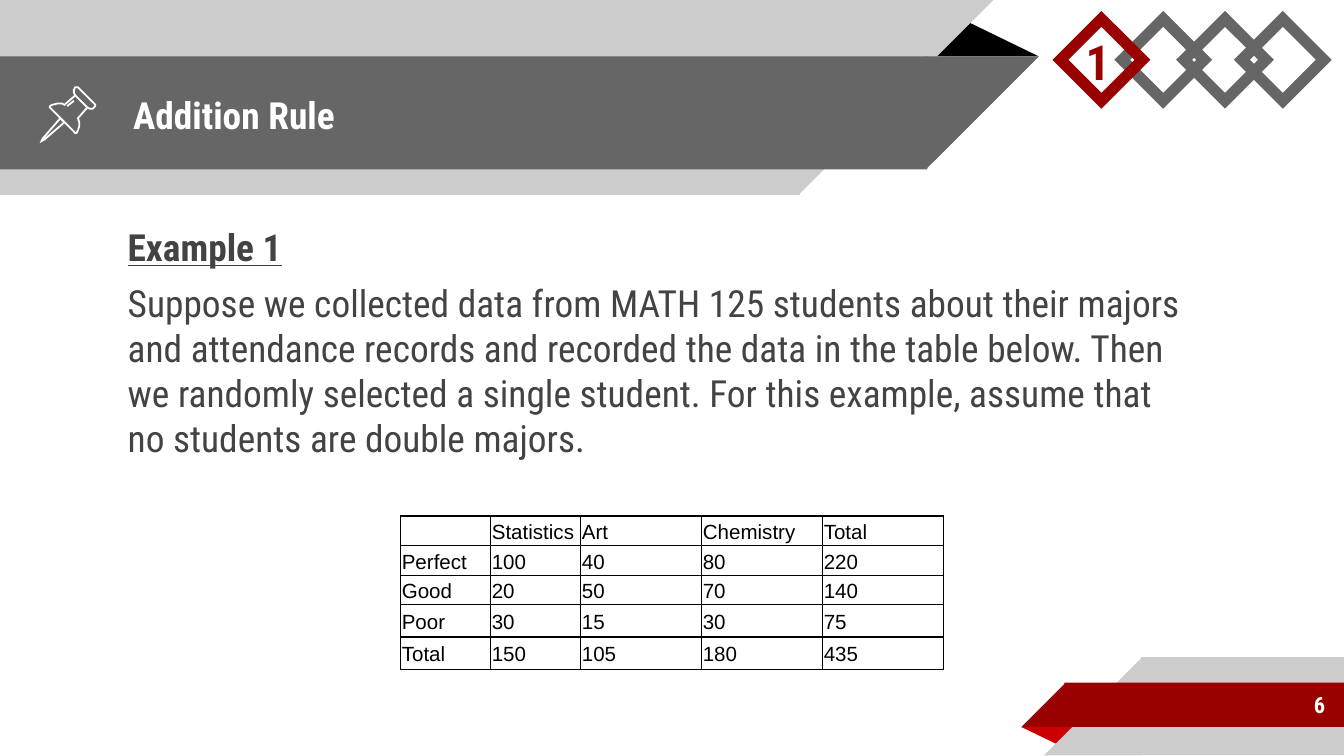
from dataclasses import dataclass

from lxml.etree import SubElement
from pptx import Presentation
from pptx.dml.color import RGBColor
from pptx.enum.shapes import MSO_SHAPE
from pptx.enum.text import MSO_ANCHOR, MSO_AUTO_SIZE, PP_ALIGN
from pptx.oxml.ns import qn
from pptx.util import Inches, Pt


@dataclass(frozen=True)
class Theme:
    white: str = "FFFFFF"
    black: str = "000000"
    light: str = "CCCCCC"
    dark: str = "666666"
    red: str = "990000"
    bright_red: str = "CC0000"
    ink: str = "434343"
    font: str = "Roboto Condensed"
    table_font: str = "Arial"
    text_size: float = 20
    number_size: float = 12
    chapter_size: float = 26
    table_size: float = 11
    icon_line: float = 0.96
    diamond_line: float = 6
    border: float = 0.75


THEME = Theme()


@dataclass(frozen=True)
class Box:
    left: float
    top: float
    width: float
    height: float

    def inner(self, dx, dy, width, height):
        return Box(self.left + dx, self.top + dy, width, height)

    def lengths(self):
        return [Inches(v) for v in (self.left, self.top, self.width, self.height)]


EXAMPLE = (
    "Suppose we collected data from MATH 125 students about their majors and "
    "attendance records and recorded the data in the table below. Then we randomly "
    "selected a single student. For this example, assume that no students are double majors."
)
ATTENDANCE = [
    ["", "Statistics", "Art", "Chemistry", "Total"],
    ["Perfect", "100", "40", "80", "220"],
    ["Good", "20", "50", "70", "140"],
    ["Poor", "30", "15", "30", "75"],
    ["Total", "150", "105", "180", "435"],
]
# Pushpin outlines in hundredths of an inch from the icon's corner: (points, closed)
PUSHPIN = [
    ([(14, 23), (1, 38), (0, 40), (2, 39), (17, 26)], True),
    ([(25, 6), (34, 15), (36, 16), (38, 16), (40, 14), (40, 13), (27, 0), (25, 0),
      (24, 2), (24, 4)], True),
    ([(25, 6), (17, 13), (15, 12), (12, 12), (8, 13), (6, 14), (6, 15), (7, 16),
      (24, 33), (25, 34), (26, 34), (27, 32), (28, 29), (28, 26), (27, 23), (34, 15)], False),
    ([(19, 14), (24, 10)], False),
]


def apply(target, **values):
    for name, value in values.items():
        setattr(target, name, value)


def color(value):
    return RGBColor.from_string(value)


def paint(shape, fill=None, line=None, width=0):
    shape.shadow.inherit = False
    if fill:
        shape.fill.solid()
        shape.fill.fore_color.rgb = color(fill)
    else:
        shape.fill.background()
    if line:
        shape.line.color.rgb = color(line)
        shape.line.width = Pt(width)
        SubElement(shape.line._get_or_add_ln(), qn("a:miter"), lim="800000")
    else:
        shape.line.fill.background()


def add_preset(slide, preset, box, fill=None, line=None, width=0):
    shape = slide.shapes.add_shape(preset, *box.lengths())
    paint(shape, fill, line, width)
    return shape


def write(paragraph, text, size, ink, font=THEME.font, **format_values):
    run = paragraph.add_run()
    run.text = text
    apply(run.font, name=font, size=Pt(size), **format_values)
    run.font.color.rgb = color(ink)


def set_frame(frame, anchor):
    apply(frame, word_wrap=True, auto_size=MSO_AUTO_SIZE.NONE, vertical_anchor=anchor,
          **{f"margin_{side}": Inches(0.1) for side in ("left", "right", "top", "bottom")})


def add_label(slide, box, text, size, ink, anchor, align):
    frame = slide.shapes.add_textbox(*box.lengths()).text_frame
    set_frame(frame, anchor)
    frame.paragraphs[0].alignment = align
    write(frame.paragraphs[0], text, size, ink, bold=True)


def place_placeholder(slide, placeholder, box, anchor):
    """Position a placeholder and bring it in front of the ribbons."""
    left, top, width, height = box.lengths()
    apply(placeholder, left=left, top=top, width=width, height=height)
    slide.shapes._spTree.append(placeholder._element)
    set_frame(placeholder.text_frame, anchor)
    return placeholder.text_frame


def add_ribbon(slide, box, fill, slant_right):
    """Bar with a 45 degree slanted end, at its right or its left."""
    side, overlap = box.height, 0.01
    bar_x, corner_x = (0, box.width - side) if slant_right else (side - overlap, 0)
    bar = box.inner(bar_x, 0, box.width - side + overlap, side)
    add_preset(slide, MSO_SHAPE.RECTANGLE, bar, fill)
    corner = add_preset(slide, MSO_SHAPE.RIGHT_TRIANGLE, box.inner(corner_x, 0, side, side), fill)
    corner._element.spPr.xfrm.set("flipH", "1")
    corner.rotation = 180 if slant_right else 0


def add_fold(slide, box, fill, rotation=0):
    fold = add_preset(slide, MSO_SHAPE.ISOSCELES_TRIANGLE, box, fill)
    fold.adjustments[0] = 0.324
    fold.rotation = rotation


def add_footer_ribbons(slide, box):
    add_fold(slide, box.inner(0, 0.52, 0.43, 0.14), THEME.bright_red, 180)
    add_ribbon(slide, box.inner(0.17, 0, 2.23, 0.73), THEME.light, False)
    add_ribbon(slide, box.inner(0, 0.19, 2.4, 0.33), THEME.red, False)


def add_header_ribbons(slide, box):
    add_fold(slide, box.inner(6.88, 0.14, 0.85, 0.28), THEME.black)
    add_ribbon(slide, box.inner(0, 0, 7.39, 1.45), THEME.light, True)
    add_ribbon(slide, box.inner(0, 0.42, 7.73, 0.84), THEME.dark, True)


def add_title(slide, box):
    frame = place_placeholder(slide, slide.shapes.title, box, MSO_ANCHOR.MIDDLE)
    frame.paragraphs[0].alignment = PP_ALIGN.LEFT
    write(frame.paragraphs[0], "Addition Rule", THEME.text_size, THEME.white, bold=True)


def add_example(slide, box):
    frame = place_placeholder(slide, slide.placeholders[1], box, MSO_ANCHOR.TOP)
    for text, heading in (("Example 1", True), (EXAMPLE, False)):
        paragraph = frame.paragraphs[0] if heading else frame.add_paragraph()
        apply(paragraph, space_before=Pt(6), alignment=PP_ALIGN.LEFT)
        properties = paragraph._p.get_or_add_pPr()
        properties.set("marL", str(Inches(0.08)))
        properties.set("indent", "0")
        SubElement(properties, qn("a:buNone"))
        write(paragraph, text, THEME.text_size, THEME.ink, bold=heading, underline=heading)


def add_pushpin(slide, box):
    for points, closed in PUSHPIN:
        builder = slide.shapes.build_freeform(*points[0], scale=Inches(0.01))
        builder.add_line_segments(points[1:], close=closed)
        outline = builder.convert_to_shape(Inches(box.left), Inches(box.top))
        paint(outline, line=THEME.white, width=THEME.icon_line)


def add_chapter_marks(slide, box):
    side = box.height
    # The filled second diamond lies behind the current chapter's red one
    for dx, line, fill in ((0.46, THEME.dark, THEME.white), (0, THEME.red, None),
                           (0.92, THEME.dark, None), (1.35, THEME.dark, None)):
        add_preset(slide, MSO_SHAPE.DIAMOND, box.inner(dx, 0, side, side),
                   fill, line, THEME.diamond_line)


def add_borders(cell):
    properties = cell._tc.get_or_add_tcPr()
    for index, side in enumerate(("lnL", "lnR", "lnT", "lnB")):
        line = properties.makeelement(qn(f"a:{side}"), {"w": str(Pt(THEME.border))})
        fill = SubElement(line, qn("a:solidFill"))
        SubElement(fill, qn("a:srgbClr"), val=THEME.black)
        properties.insert(index, line)


def add_attendance_table(slide, box):
    table = slide.shapes.add_table(len(ATTENDANCE), len(ATTENDANCE[0]), *box.lengths()).table
    apply(table, first_row=False, horz_banding=False)
    for column, width in zip(table.columns, (0.67, 0.67, 0.9, 0.9, 0.9)):
        column.width = Inches(width)
    for row, height, values in zip(table.rows, (0.22, 0.22, 0.22, 0.24, 0.24), ATTENDANCE):
        row.height = Inches(height)
        for cell, value in zip(row.cells, values):
            edge = Inches(0.01)
            apply(cell, margin_left=edge, margin_right=edge, margin_top=edge,
                  margin_bottom=0, vertical_anchor=MSO_ANCHOR.MIDDLE)
            cell.fill.background()
            add_borders(cell)
            paragraph = cell.text_frame.paragraphs[0]
            paragraph.line_spacing = 1.07
            if value:
                write(paragraph, value, THEME.table_size, THEME.black, THEME.table_font)
            else:
                SubElement(paragraph._p, qn("a:endParaRPr"), sz=str(THEME.table_size * 100))


def main():
    deck = Presentation()
    # Widescreen, 16:9
    apply(deck, slide_width=Inches(10), slide_height=Inches(10 * 9 / 16))
    slide = deck.slides.add_slide(deck.slide_layouts[1])
    add_footer_ribbons(slide, Box(7.6, 4.89, 2.4, 0.73))
    add_header_ribbons(slide, Box(0, 0, 7.73, 1.45))
    add_title(slide, Box(0.89, 0.43, 6.01, 0.84))
    add_example(slide, Box(0.77, 1.57, 8.2, 3.52))
    add_label(slide, Box(8.33, 5.07, 1.63, 0.35), "6", THEME.number_size, THEME.white,
              MSO_ANCHOR.MIDDLE, PP_ALIGN.RIGHT)
    add_pushpin(slide, Box(0.31, 0.65, 0.4, 0.4))
    add_label(slide, Box(7.98, 0.05, 0.56, 0.72), "1", THEME.chapter_size, THEME.red,
              MSO_ANCHOR.BOTTOM, PP_ALIGN.LEFT)
    add_attendance_table(slide, Box(2.98, 3.84, 4.04, 1.14))
    add_chapter_marks(slide, Box(7.89, 0.14, 1.96, 0.61))
    deck.save("out.pptx")


if __name__ == "__main__":
    main()
